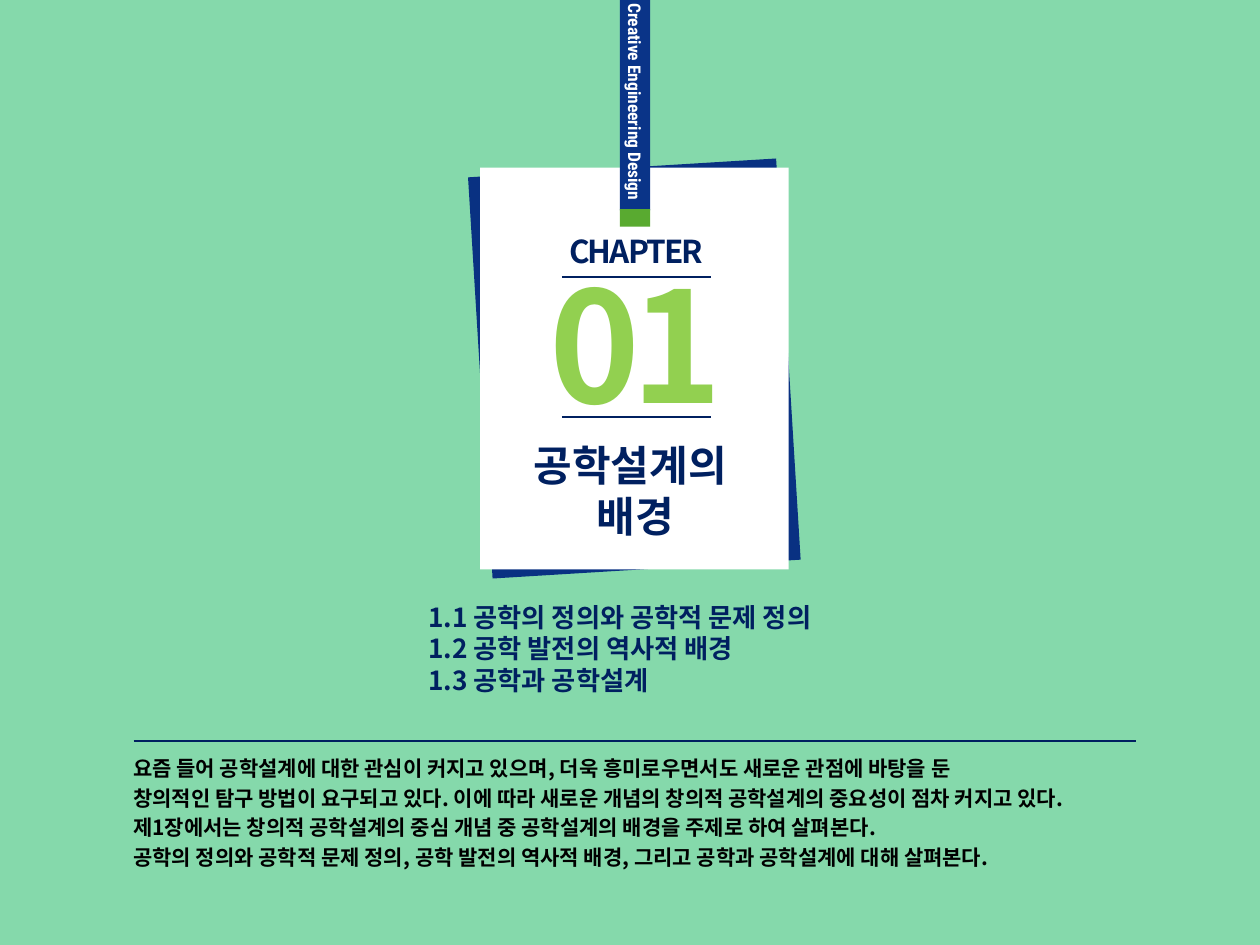
from lxml import etree
from pptx import Presentation
from pptx.dml.color import RGBColor
from pptx.enum import shapes, text
from pptx.oxml.ns import qn
from pptx.util import Inches, Pt

KOREAN = "Noto Sans CJK KR"
NAVY = "002060"
LEFT, CENTER, RIGHT = text.PP_ALIGN.LEFT, text.PP_ALIGN.CENTER, text.PP_ALIGN.RIGHT


def color(value):
    return RGBColor.from_string(value)


def write(frame, lines, size, ink, align=LEFT, face=KOREAN, gap=0, tracking=0):
    for index, line in enumerate(lines):
        paragraph = frame.paragraphs[0] if index == 0 else frame.add_paragraph()
        paragraph.alignment = align
        paragraph.space_before = Pt(gap if index else 0)
        run = paragraph.add_run()
        run.text = line
        for key, value in {"size": Pt(size), "name": face, "bold": True}.items():
            setattr(run.font, key, value)
        run.font.color.rgb = color(ink)
        properties = run.font._element
        etree.SubElement(properties, qn("a:ea")).set("typeface", face)
        if tracking:
            properties.set("spc", str(tracking))


prs = Presentation()
prs.slide_width, prs.slide_height = Inches(10), Inches(7.5)
slide = prs.slides.add_slide(prs.slide_layouts[5])
slide.background.fill.solid()
slide.background.fill.fore_color.rgb = color("85D9AB")

panels = []
for left, top, width, height, fill, angle in [
    (3.81, 1.33, 2.45, 3.19, "093182", -3.5),
    (3.81, 1.33, 2.45, 3.19, "FFFFFF", 0),
    (4.92, 0, 0.24, 1.67, "0A3488", 0),
    (4.92, 1.66, 0.24, 0.14, "59AA30", 0),
]:
    panel = slide.shapes.add_shape(
        shapes.MSO_SHAPE.RECTANGLE,
        Inches(left), Inches(top), Inches(width), Inches(height),
    )
    panel.shadow.inherit = False
    panel.fill.solid()
    panel.fill.fore_color.rgb = color(fill)
    panel.line.fill.background()
    panel.rotation = angle
    panels.append(panel)

ribbon = panels[2].text_frame
ribbon_format = {
    "margin_left": 0, "margin_top": 0, "margin_right": 0,
    "margin_bottom": Inches(0.08), "vertical_anchor": text.MSO_ANCHOR.MIDDLE,
}
for key, value in ribbon_format.items():
    setattr(ribbon, key, value)
ribbon._txBody.bodyPr.set("vert", "vert")
write(ribbon, ["Creative Engineering Design"], 10, "FFFFFF", RIGHT, "Roboto Condensed")

summary = [
    "요즘 들어 공학설계에 대한 관심이 커지고 있으며, 더욱 흥미로우면서도 새로운 관점에 바탕을 둔",
    "창의적인 탐구 방법이 요구되고 있다. 이에 따라 새로운 개념의 창의적 공학설계의 중요성이 점차 커지고 있다.",
    "제1장에서는 창의적 공학설계의 중심 개념 중 공학설계의 배경을 주제로 하여 살펴본다.",
    "공학의 정의와 공학적 문제 정의, 공학 발전의 역사적 배경, 그리고 공학과 공학설계에 대해 살펴본다.",
]
sections = ["1.1 공학의 정의와 공학적 문제 정의", "1.2 공학 발전의 역사적 배경", "1.3 공학과 공학설계"]

for left, top, width, height, lines, style in [
    (4.08, 1.93, 1.94, 1.58, ["01"],
     {"size": 88, "ink": "92D050", "align": CENTER, "tracking": -500}),
    (4.3, 1.79, 1.5, 0.4, ["CHAPTER"],
     {"size": 18, "ink": NAVY, "align": CENTER, "tracking": -110}),
    (0.96, 5.95, 9, 1.18, summary, {"size": 12, "ink": "000000", "gap": 2.4}),
    (3.3, 4.72, 5, 0.86, sections, {"size": 15, "ink": NAVY}),
]:
    box = slide.shapes.add_textbox(Inches(left), Inches(top), Inches(width), Inches(height))
    box.text_frame.word_wrap = True
    write(box.text_frame, lines, **style)

title = slide.shapes.title
title_place = {
    "left": Inches(3.82), "top": Inches(3.44), "width": Inches(2.44), "height": Inches(0.91),
}
for key, value in title_place.items():
    setattr(title, key, value)
title_format = {
    "word_wrap": True, "auto_size": text.MSO_AUTO_SIZE.NONE,
    "vertical_anchor": text.MSO_ANCHOR.TOP,
}
for key, value in title_format.items():
    setattr(title.text_frame, key, value)
write(title.text_frame, ["공학설계의 ", "배경"], 24, NAVY, CENTER)
slide.shapes._spTree.append(title._element)

for start, end, level, weight in [
    (4.46, 5.64, 2.2, 1), (4.46, 5.64, 3.31, 1), (1.06, 9.02, 5.88, 0.75),
]:
    rule = slide.shapes.add_connector(
        shapes.MSO_CONNECTOR.STRAIGHT,
        Inches(start), Inches(level), Inches(end), Inches(level),
    )
    rule.line.color.rgb = color(NAVY)
    rule.line.width = Pt(weight)
    etree.SubElement(rule._element.spPr, qn("a:effectLst"))

prs.save("out.pptx")
